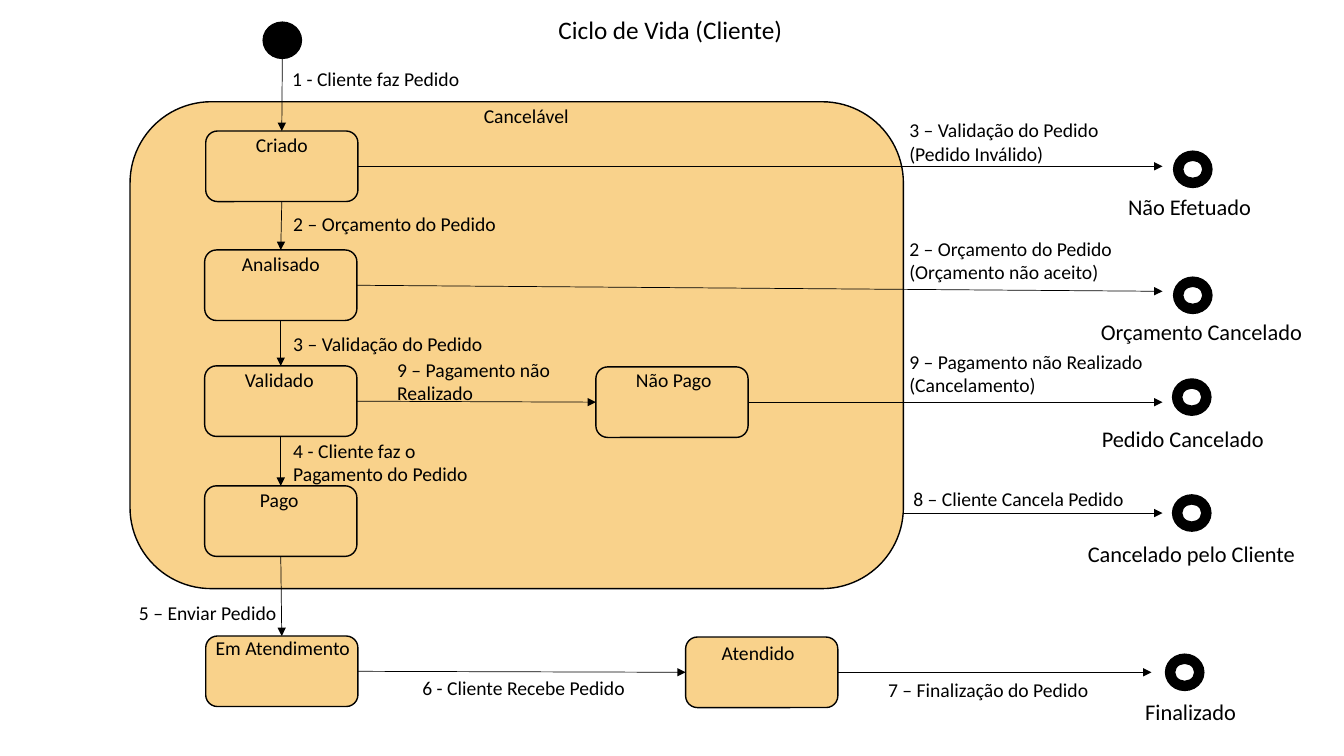
from dataclasses import dataclass

from lxml.etree import SubElement
from pptx import Presentation
from pptx.dml.color import RGBColor
from pptx.enum.shapes import MSO_CONNECTOR as Connector, MSO_SHAPE as Preset
from pptx.enum.text import MSO_AUTO_SIZE as AutoSize
from pptx.oxml.ns import qn
from pptx.util import Inches, Pt

COLUMNS, ROWS = 133.3, 75
UNIT = Inches(0.1)  # one column or one row of the grid
STATE_WIDTH, STATE_HEIGHT = 15.1, 7
DOT_WIDTH, DOT_HEIGHT = 3.8, 3.6
TOP, BOTTOM, RIGHT, LEFT = 0, 2, 3, 1  # connection sites


@dataclass(frozen=True)
class Theme:
    font: str = "Calibri"
    ink: RGBColor = RGBColor(0, 0, 0)
    state: RGBColor = RGBColor(0xF9, 0xD2, 0x8B)
    title: int = 18
    outcome: int = 16
    label: int = 14
    outline: float = 1
    arrow: float = 0.5


@dataclass(frozen=True)
class Box:
    left: float
    top: float
    width: float
    height: float

    def inside(self, left, top, width=0, height=0):
        """Box placed relative to this one."""
        return Box(self.left + left, self.top + top, width, height)

    def lengths(self):
        return [round(n * UNIT) for n in (self.left, self.top, self.width, self.height)]


THEME = Theme()


def add_preset(slide, preset, box, fill):
    shape = slide.shapes.add_shape(preset, *box.lengths())
    shape.shadow.inherit = False
    shape.fill.solid()
    shape.fill.fore_color.rgb = fill
    shape.line.color.rgb = THEME.ink
    shape.line.width = Pt(THEME.outline)
    return shape


def add_label(slide, box, text, size=THEME.label, lines=1, wrap=True):
    """Text box whose height follows from its type size and line count."""
    height = 1 + size * lines / 6
    text_box = slide.shapes.add_textbox(*Box(box.left, box.top, box.width, height).lengths())
    text_frame = text_box.text_frame
    text_frame.text = text
    text_frame.word_wrap = wrap
    text_frame.auto_size = AutoSize.SHAPE_TO_FIT_TEXT
    for paragraph in text_frame.paragraphs:
        for run in paragraph.runs:
            run.font.name = THEME.font
            run.font.size = Pt(size)
            run.font.color.rgb = THEME.ink


def add_arrow(slide, start, end):
    """Arrow between two ends, each a Box corner or a (shape, site) pair."""
    points = [e.lengths()[:2] if isinstance(e, Box) else (0, 0) for e in (start, end)]
    arrow = slide.shapes.add_connector(Connector.STRAIGHT, *points[0], *points[1])
    if not isinstance(start, Box):
        arrow.begin_connect(*start)
    if not isinstance(end, Box):
        arrow.end_connect(*end)
    arrow.line.color.rgb = THEME.ink
    arrow.line.width = Pt(THEME.arrow)
    SubElement(arrow.line._get_or_add_ln(), qn("a:tailEnd"), type="triangle")
    SubElement(arrow._element.spPr, qn("a:effectLst"))


def add_state(slide, box, name, label):
    """State with its name; label is the name's left, top and width in the state."""
    shape = add_preset(slide, Preset.ROUNDED_RECTANGLE, box, THEME.state)
    add_label(slide, box.inside(*label), name)
    return shape


def add_states(slide, region, states):
    return {
        name: add_state(slide, region.inside(left, top, STATE_WIDTH, STATE_HEIGHT), name, label)
        for name, left, top, label in states
    }


def add_end(slide, box):
    add_preset(slide, Preset.DONUT, box, THEME.ink)


def draw_cancellable(slide, box):
    """Draw the cancellable region and return its states by name."""
    add_preset(slide, Preset.ROUNDED_RECTANGLE, box, THEME.state)
    states = add_states(slide, box, [
        ("Criado", 7.5, 2.9, (4, -0.3, 13.3)),
        ("Analisado", 7.4, 14.7, (2.7, -0.3, 13.5)),
        ("Validado", 7.4, 26.2, (3, -0.3, 15.1)),
        ("Pago", 7.4, 38.1, (4.5, -0.3, 11.7)),
        ("Não Pago", 46.2, 26.3, (3, -0.4, 16.7)),
    ])
    chain = [states[name] for name in ("Criado", "Analisado", "Validado", "Pago")]
    for upper, lower in zip(chain, chain[1:]):
        add_arrow(slide, (upper, BOTTOM), (lower, TOP))
    add_arrow(slide, (states["Validado"], RIGHT), (states["Não Pago"], LEFT))
    for left, top, width, lines, text in [
        (34.1, -0.3, 13.7, 1, "Cancelável"),
        (15.2, 10.4, 22.2, 1, "2 – Orçamento do Pedido"),
        (15.2, 22.3, 21.7, 1, "3 – Validação do Pedido"),
        (15.2, 32.9, 26.2, 2, "4 - Cliente faz o\nPagamento do Pedido"),
        (25.5, 24.9, 21.7, 2, "9 – Pagamento não Realizado"),
    ]:
        add_label(slide, box.inside(left, top, width), text, lines=lines)
    return states


def draw_start(slide, box, first_state):
    add_preset(slide, Preset.FLOWCHART_CONNECTOR, box.inside(0, 0, DOT_WIDTH, DOT_HEIGHT), THEME.ink)
    add_arrow(slide, box.inside(DOT_WIDTH / 2, DOT_HEIGHT), (first_state, TOP))
    add_label(slide, box.inside(1.9, 3.9, 21.7), "1 - Cliente faz Pedido")


def draw_outcomes(slide, box, states):
    """Draw the four ways out of the cancellable region."""
    region_edge = box.inside(0.4, 39.7)
    for start, arrow_top, end, event, event_at, lines, name, name_at in [
        ((states["Criado"], RIGHT), 5.3, (27.2, 3.8),
         "3 – Validação do Pedido (Pedido Inválido)", (0, 0, 21.7), 2,
         "Não Efetuado", (21.7, 7.5, 17.4)),
        ((states["Analisado"], RIGHT), 17.7, (27.2, 16.3),
         "2 – Orçamento do Pedido (Orçamento não aceito)", (0, 11.8, 22.9), 2,
         "Orçamento Cancelado", (19, 19.9, 22.8)),
        ((states["Não Pago"], RIGHT), 28.7, (27.1, 26.4),
         "9 – Pagamento não Realizado\n(Cancelamento)", (0, 23, 25.7), 2,
         "Pedido Cancelado", (19.1, 30.5, 20.7)),
        (region_edge, 39.7, (27.1, 37.9),
         "8 – Cliente Cancela Pedido", (0.4, 36.6, 24.4), 1,
         "Cancelado pelo Cliente", (17.7, 41.9, 22.8)),
    ]:
        add_arrow(slide, start, box.inside(26.1, arrow_top))
        add_end(slide, box.inside(*end, DOT_WIDTH, DOT_HEIGHT))
        add_label(slide, box.inside(*event_at), event, lines=lines)
        add_label(slide, box.inside(*name_at), name, THEME.outcome,
                  wrap=name != "Cancelado pelo Cliente")


def draw_fulfilment(slide, box, paid):
    """Draw the bottom row, from the paid order to its end."""
    states = add_states(slide, box, [
        ("Em Atendimento", 7.6, 4, (0, -0.5, 17.5)),
        ("Atendido", 55.2, 4.1, (2.6, -0.1, 16.5)),
    ])
    serving, served = states.values()
    add_arrow(slide, (paid, BOTTOM), (serving, TOP))
    add_arrow(slide, (serving, RIGHT), (served, LEFT))
    add_arrow(slide, (served, RIGHT), box.inside(101.4, 7.6))
    add_end(slide, box.inside(102.8, 5.8, DOT_WIDTH, DOT_HEIGHT))
    for left, top, width, text in [
        (0, 0, 21.7, "5 – Enviar Pedido"),
        (28.1, 7.5, 23, "6 - Cliente Recebe Pedido"),
        (74.3, 7.7, 23.7, "7 – Finalização do Pedido"),
    ]:
        add_label(slide, box.inside(left, top, width), text)
    add_label(slide, box.inside(99.8, 9.7, 12.2), "Finalizado", THEME.outcome)


def main():
    presentation = Presentation()
    presentation.slide_width = round(COLUMNS * UNIT)
    presentation.slide_height = ROWS * UNIT
    slide = presentation.slides.add_slide(presentation.slide_layouts[6])
    add_label(slide, Box(54.4, 0.9, 24.5, 4), "Ciclo de Vida (Cliente)", THEME.title)
    states = draw_cancellable(slide, Box(12.9, 10.1, 76.7, 48.3))
    draw_start(slide, Box(26.1, 2.2, 23.6, 7.3), states["Criado"])
    draw_outcomes(slide, Box(89.2, 11.2, 41.8, 45.6), states)
    draw_fulfilment(slide, Box(12.8, 59.1, 112, 13.4), states["Pago"])
    presentation.save("out.pptx")


if __name__ == "__main__":
    main()
